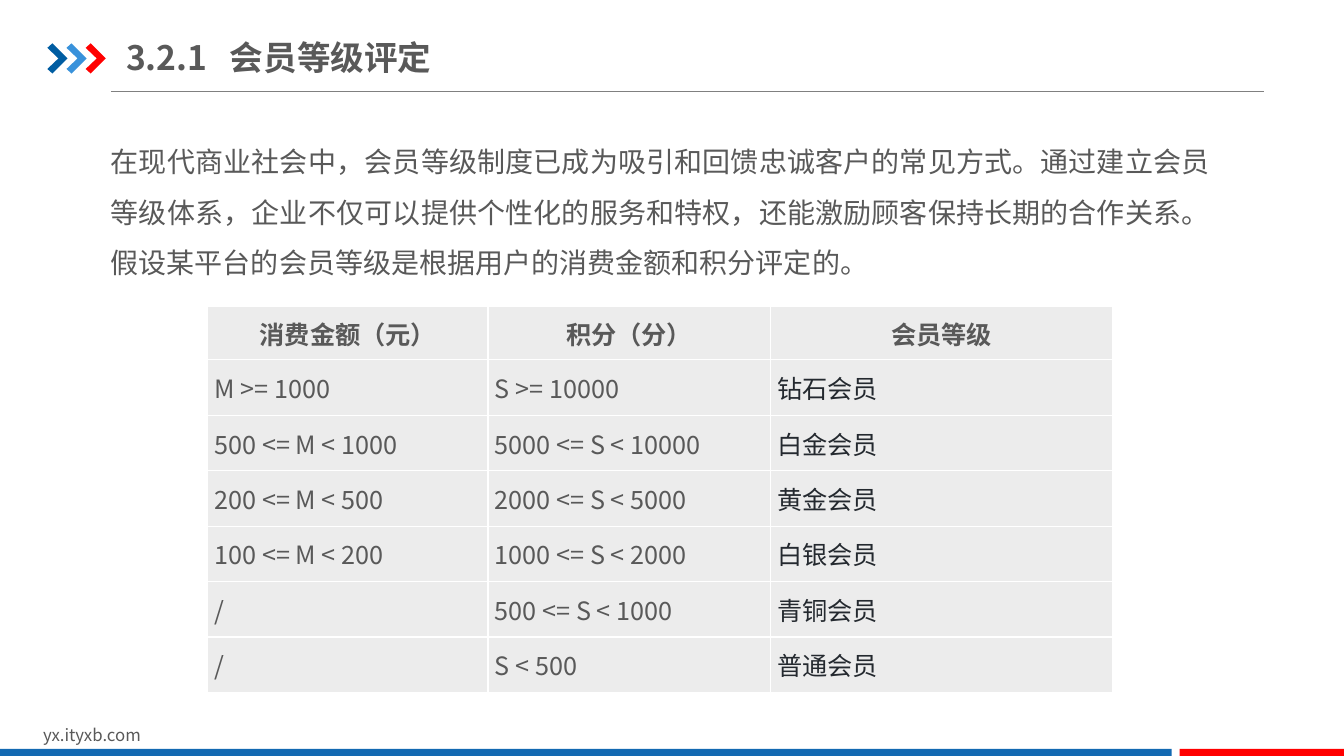
"""Build the slide on membership levels."""
import pptx
import pptx.dml.color
import pptx.enum.shapes
import pptx.enum.text
import pptx.oxml
import pptx.oxml.ns
import pptx.util
import lxml.etree

Inches = pptx.util.Inches
Pt = pptx.util.Pt
RGBColor = pptx.dml.color.RGBColor
qn = pptx.oxml.ns.qn
ALIGN = pptx.enum.text.PP_ALIGN
MIDDLE = pptx.enum.text.MSO_ANCHOR.MIDDLE

FONT = "Noto Sans CJK SC"
GREY_TEXT = RGBColor(0x59, 0x59, 0x59)
DARK_TEXT = RGBColor(0x24, 0x29, 0x2F)
RULE_GREY = RGBColor(0x80, 0x80, 0x80)
DEEP_BLUE = RGBColor(0x00, 0x5D, 0xA2)
SKY_BLUE = RGBColor(0x39, 0x92, 0xDB)
BAR_BLUE = RGBColor(0x13, 0x69, 0xB2)
RED = RGBColor(0xFF, 0x00, 0x00)
CELL_GREY = RGBColor(0xEC, 0xEC, 0xEC)
WHITE = RGBColor(0xFF, 0xFF, 0xFF)

INTRODUCTION = (
    "在现代商业社会中，会员等级制度已成为吸引和回馈忠诚客户的常见方式。"
    "通过建立会员等级体系，企业不仅可以提供个性化的服务和特权，"
    "还能激励顾客保持长期的合作关系。"
    "假设某平台的会员等级是根据用户的消费金额和积分评定的。"
)
LEVELS = [
    ("消费金额（元）", "积分（分）", "会员等级"),
    ("M >= 1000", "S >= 10000", "钻石会员"),
    ("500 <= M < 1000", "5000 <= S < 10000", "白金会员"),
    ("200 <= M < 500", "2000 <= S < 5000", "黄金会员"),
    ("100 <= M < 200", "1000 <= S < 2000", "白银会员"),
    ("/", "500 <= S < 1000", "青铜会员"),
    ("/", "S < 500", "普通会员"),
]


def write_text(frame, text, size=18, color=GREY_TEXT, bold=False,
               align=ALIGN.LEFT, spacing=None, tab=None):
    """Write one formatted paragraph into a text frame."""
    frame.word_wrap = True
    paragraph = frame.paragraphs[0]
    if tab is not None:
        stops = lxml.etree.SubElement(
            paragraph._p.get_or_add_pPr(), qn("a:tabLst"))
        lxml.etree.SubElement(
            stops, qn("a:tab"), pos=str(int(Inches(tab))), algn="l")
    paragraph.alignment = align
    if spacing is not None:
        paragraph.line_spacing = spacing
    run = paragraph.add_run()
    run.text = text
    run.font.name = FONT
    run.font.size = Pt(size)
    run.font.bold = bold
    run.font.color.rgb = color
    lxml.etree.SubElement(
        run._r.get_or_add_rPr(), qn("a:ea"), typeface=FONT)


def add_text_box(slide, left, top, width, height):
    """Add an empty text box and return its frame."""
    return slide.shapes.add_textbox(
        Inches(left), Inches(top), Inches(width), Inches(height)).text_frame


def paint(shape, color):
    """Give a shape a plain fill with no outline or shadow."""
    shape.shadow.inherit = False
    shape.fill.solid()
    shape.fill.fore_color.rgb = color
    shape.line.fill.background()


def add_chevron(slide, left, top, width, height, color):
    """Draw one chevron pointing right."""
    outline = [(0, 0.15), (0.25, 0), (1, 0.5), (0.25, 1), (0, 0.85), (0.55, 0.5)]
    points = [(Inches(left + x * width), Inches(top + y * height))
              for x, y in outline]
    builder = slide.shapes.build_freeform(*points[0], scale=1.0)
    builder.add_line_segments(points[1:], close=True)
    paint(builder.convert_to_shape(), color)


def add_header(slide, left, top, width):
    """Place the chevrons, the title and the rule below them."""
    for index, color in enumerate((DEEP_BLUE, SKY_BLUE, RED)):
        add_chevron(slide, left + index * 0.19, top + 0.14, 0.2, 0.3, color)
    title = add_text_box(slide, left + 0.78, top, 5.02, 0.55)
    title.margin_left = title.margin_right = 0
    title.margin_top = title.margin_bottom = Inches(0.07)
    title.vertical_anchor = MIDDLE
    write_text(title, "3.2.1\t会员等级评定", size=24, bold=True, tab=1.03)
    rule = slide.shapes.add_connector(
        pptx.enum.shapes.MSO_CONNECTOR.STRAIGHT,
        Inches(left + 0.63), Inches(top + 0.62),
        Inches(left + width), Inches(top + 0.62))
    rule.line.color.rgb = RULE_GREY
    rule.line.width = Pt(0.75)
    lxml.etree.SubElement(rule._element.spPr, qn("a:effectLst"))


def add_introduction(slide, left, top, width, height):
    """Place the introductory paragraph."""
    write_text(add_text_box(slide, left, top, width, height), INTRODUCTION,
               size=20, align=ALIGN.JUSTIFY, spacing=1.5)


def style_cell(cell):
    """Give a cell its grey fill and white borders."""
    cell.fill.solid()
    cell.fill.fore_color.rgb = CELL_GREY
    cell.vertical_anchor = MIDDLE
    properties = cell._tc.get_or_add_tcPr()
    for position, side in enumerate(("a:lnL", "a:lnR", "a:lnT", "a:lnB")):
        border = lxml.etree.Element(qn(side), w=str(int(Pt(1))))
        fill = lxml.etree.SubElement(border, qn("a:solidFill"))
        lxml.etree.SubElement(fill, qn("a:srgbClr"), val=str(WHITE))
        properties.insert(position, border)


def add_level_table(slide, left, top, column_widths, header_height, row_height):
    """Place the table of spending, points and levels."""
    height = header_height + row_height * (len(LEVELS) - 1)
    table = slide.shapes.add_table(
        len(LEVELS), len(column_widths), Inches(left), Inches(top),
        Inches(sum(column_widths)), Inches(height)).table
    for column, width in zip(table.columns, column_widths):
        column.width = Inches(width)
    for row_index, level in enumerate(LEVELS):
        is_header = row_index == 0
        table.rows[row_index].height = Inches(
            header_height if is_header else row_height)
        for column_index, text in enumerate(level):
            cell = table.cell(row_index, column_index)
            style_cell(cell)
            if is_header:
                write_text(cell.text_frame, text, bold=True, align=ALIGN.CENTER)
                continue
            cell.margin_left = cell.margin_right = Inches(0.07)
            cell.margin_top = cell.margin_bottom = 0
            is_level_name = column_index == len(level) - 1
            write_text(cell.text_frame, text,
                       color=DARK_TEXT if is_level_name else GREY_TEXT)


def add_footer(slide, left, top, width):
    """Place the web address and the two coloured bars."""
    write_text(add_text_box(slide, left + 0.33, top, 3.18, 0.3),
               "yx.ityxb.com", size=12)
    red_width = 1.63
    blue_width = width - red_width - 0.08
    for bar_left, bar_width, color in (
            (left, blue_width, BAR_BLUE),
            (left + width - red_width, red_width, RED)):
        bar = slide.shapes.add_shape(
            pptx.enum.shapes.MSO_SHAPE.RECTANGLE, Inches(bar_left),
            Inches(top + 0.29), Inches(bar_width), Inches(0.09))
        paint(bar, color)


def main():
    """Build and save the presentation."""
    presentation = pptx.Presentation()
    presentation.slide_width = Inches(13.33)
    presentation.slide_height = Inches(7.5)
    slide = presentation.slides.add_slide(presentation.slide_layouts[6])
    add_header(slide, 0.47, 0.29, 12.07)
    add_footer(slide, 0, 7.14, 13.33)
    add_introduction(slide, 1, 1.22, 11.1, 1.61)
    add_level_table(slide, 2.06, 3.04, (2.78, 2.8, 3.4), 0.53, 0.55)
    presentation.save("out.pptx")


if __name__ == "__main__":
    main()
